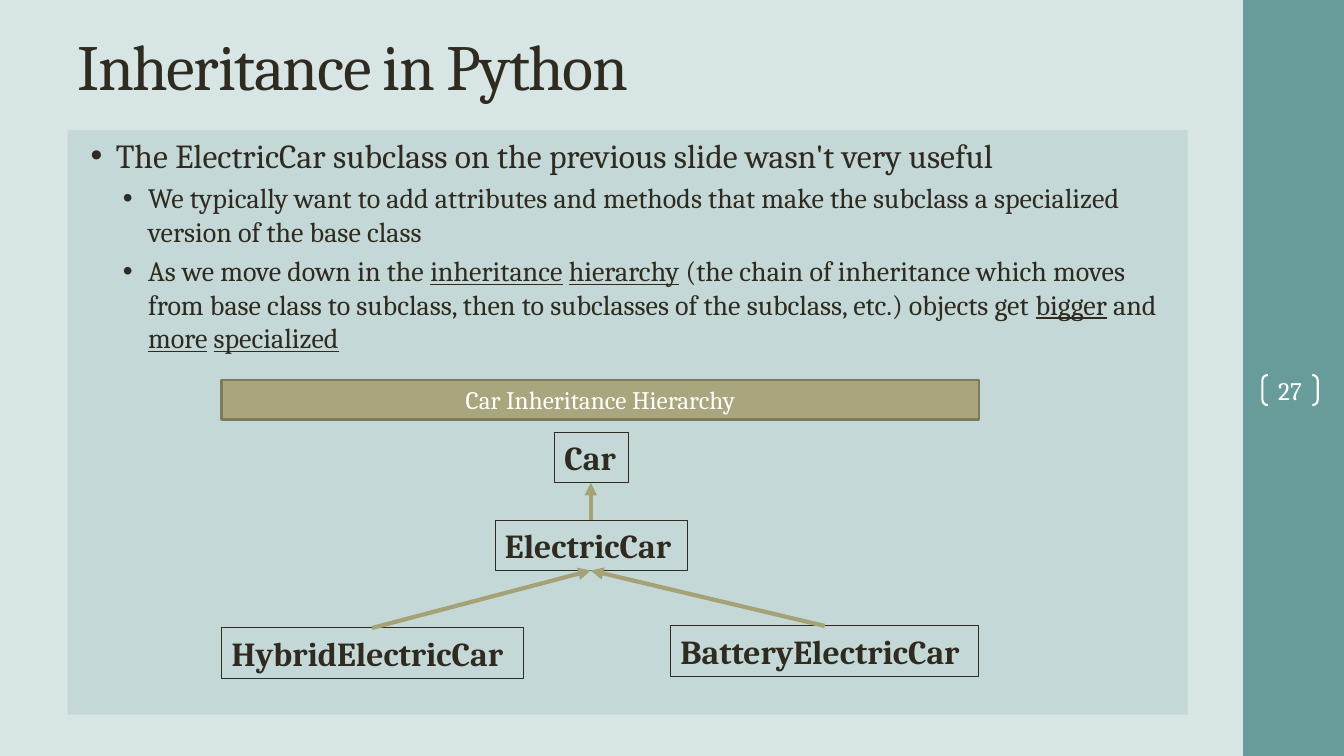
from dataclasses import dataclass

from lxml import etree
from pptx import Presentation
from pptx import util as u
from pptx.dml.color import RGBColor
from pptx.enum import shapes, text
from pptx.oxml.ns import qn

PX = 9144  # EMU in one px, 100 px to the inch
FONT = "Cambria"
COLORS = {
    "background": "D7E5E5",
    "sidebar": "689C9A",
    "panel": "C4D8D7",
    "ink": "2F2B20",
    "white": "FFFFFF",
    "banner": "A9A57C",
    "banner_edge": "7D7A5C",
    "arrow": "A6A278",
}


@dataclass(frozen=True)
class Box:
    left: int
    top: int
    width: int
    height: int

    @property
    def top_center(self) -> tuple[int, int]:
        return self.left + self.width // 2, self.top

    @property
    def bottom_center(self) -> tuple[int, int]:
        return self.left + self.width // 2, self.top + self.height


@dataclass(frozen=True)
class Bullet:
    words: str  # underlined parts stand between underscores
    level: int
    size: int
    indent: int
    before: int


@dataclass(frozen=True)
class ClassNode:
    name: str
    box: Box
    parent: str = ""


BULLETS = [
    Bullet("The ElectricCar subclass on the previous slide wasn't very useful", 0, 24, 38, 5),
    Bullet("We typically want to add attributes and methods that make the subclass "
           "a specialized version of the base class", 1, 20, 70, 4),
    Bullet("As we move down in the _inheritance_ _hierarchy_ (the chain of inheritance "
           "which moves from base class to subclass, then to subclasses of the subclass, "
           "etc.) objects get _bigger_ and _more_ _specialized_", 1, 20, 70, 4),
]
NODES = [
    ClassNode("Car", Box(550, 429, 73, 50)),
    ClassNode("ElectricCar", Box(491, 516, 191, 50), "Car"),
    ClassNode("BatteryElectricCar", Box(665, 621, 306, 50), "ElectricCar"),
    ClassNode("HybridElectricCar", Box(220, 623, 299, 50), "ElectricCar"),
]


def rgb(name: str) -> RGBColor:
    return RGBColor.from_string(COLORS[name])


def add_box(slide, box: Box, kind=shapes.MSO_SHAPE.RECTANGLE, fill: str = "",
            line: str = "", weight: float = 1):
    shape = slide.shapes.add_shape(
        kind, box.left * PX, box.top * PX, box.width * PX, box.height * PX)
    shape.shadow.inherit = False
    if fill:
        shape.fill.solid()
        shape.fill.fore_color.rgb = rgb(fill)
    else:
        shape.fill.background()
    if line:
        shape.line.color.rgb = rgb(line)
        shape.line.width = u.Pt(weight)
    else:
        shape.line.fill.background()
    return shape


def add_run(paragraph, words: str, size: int, color: str = "ink",
            bold: bool = False, underline: bool = False):
    run = paragraph.add_run()
    run.text = words
    run.font.name = FONT
    run.font.size = u.Pt(size)
    run.font.color.rgb = rgb(color)
    run.font.bold = bold
    run.font.underline = underline
    return run


def write(shape, words: str, *, size: int, color: str = "ink", bold: bool = False,
          align=text.PP_ALIGN.LEFT, anchor=text.MSO_ANCHOR.TOP):
    frame = shape.text_frame
    frame.word_wrap = True
    frame.vertical_anchor = anchor
    frame.paragraphs[0].alignment = align
    return add_run(frame.paragraphs[0], words, size, color, bold)


def write_bullets(shape, bullets: list[Bullet]) -> None:
    frame = shape.text_frame
    frame.word_wrap = True
    frame.vertical_anchor = text.MSO_ANCHOR.TOP
    for index, bullet in enumerate(bullets):
        paragraph = frame.add_paragraph() if index else frame.paragraphs[0]
        paragraph.alignment = text.PP_ALIGN.LEFT
        paragraph.level = bullet.level
        paragraph.space_before = u.Pt(bullet.before)
        properties = paragraph._p.get_or_add_pPr()
        properties.set("marL", str(bullet.indent * PX))
        properties.set("indent", str(-25 * PX))
        bullet_color = etree.SubElement(properties, qn("a:buClr"))
        etree.SubElement(bullet_color, qn("a:srgbClr"), val=COLORS["ink"])
        etree.SubElement(properties, qn("a:buFont"), typeface="Arial")
        etree.SubElement(properties, qn("a:buChar"), char="•")
        for part, words in enumerate(bullet.words.split("_")):
            if words:
                add_run(paragraph, words, bullet.size, underline=part % 2 == 1)


def add_arrow(slide, start: tuple[int, int], end: tuple[int, int]) -> None:
    connector = slide.shapes.add_connector(
        shapes.MSO_CONNECTOR.STRAIGHT, *(value * PX for value in start + end))
    connector.line.color.rgb = rgb("arrow")
    connector.line.width = u.Pt(3)
    etree.SubElement(connector.line._get_or_add_ln(), qn("a:tailEnd"), type="triangle")
    etree.SubElement(connector._element.spPr, qn("a:effectLst"))


def main() -> None:
    presentation = Presentation()
    presentation.slide_width = 1333 * PX
    presentation.slide_height = 750 * PX
    slide = presentation.slides.add_slide(presentation.slide_layouts[6])
    slide.background.fill.solid()
    slide.background.fill.fore_color.rgb = rgb("background")
    middle, center = text.MSO_ANCHOR.MIDDLE, text.PP_ALIGN.CENTER

    # Sidebar with the slide number
    add_box(slide, Box(1233, 0, 100, 750), fill="sidebar")
    number = add_box(slide, Box(1252, 372, 55, 30), shapes.MSO_SHAPE.DOUBLE_BRACKET,
                     line="white", weight=1.5)
    number.adjustments[0] = 0.18
    frame = number.text_frame
    frame.margin_left = frame.margin_right = frame.margin_top = frame.margin_bottom = 0
    write(number, "27", size=18, color="white", align=center, anchor=middle)

    # Title
    title = slide.shapes.add_textbox(67 * PX, 16 * PX, 1111 * PX, 97 * PX)
    heading = write(title, "Inheritance in Python", size=46, anchor=middle)
    heading.font._element.set("spc", "-100")

    # Bullet panel
    write_bullets(add_box(slide, Box(67, 129, 1111, 580), fill="panel"), BULLETS)

    # Class hierarchy
    boxes = {node.name: node.box for node in NODES}
    for node in NODES:
        shape = add_box(slide, node.box, line="ink", weight=0.75)
        write(shape, node.name, size=24, bold=True)
    for node in NODES:
        if node.parent:
            add_arrow(slide, node.box.top_center, boxes[node.parent].bottom_center)

    # Hierarchy banner
    banner = add_box(slide, Box(220, 377, 751, 39), fill="banner",
                     line="banner_edge", weight=2)
    write(banner, "Car Inheritance Hierarchy", size=18, color="white",
          align=center, anchor=middle)

    presentation.save("out.pptx")


if __name__ == "__main__":
    main()
